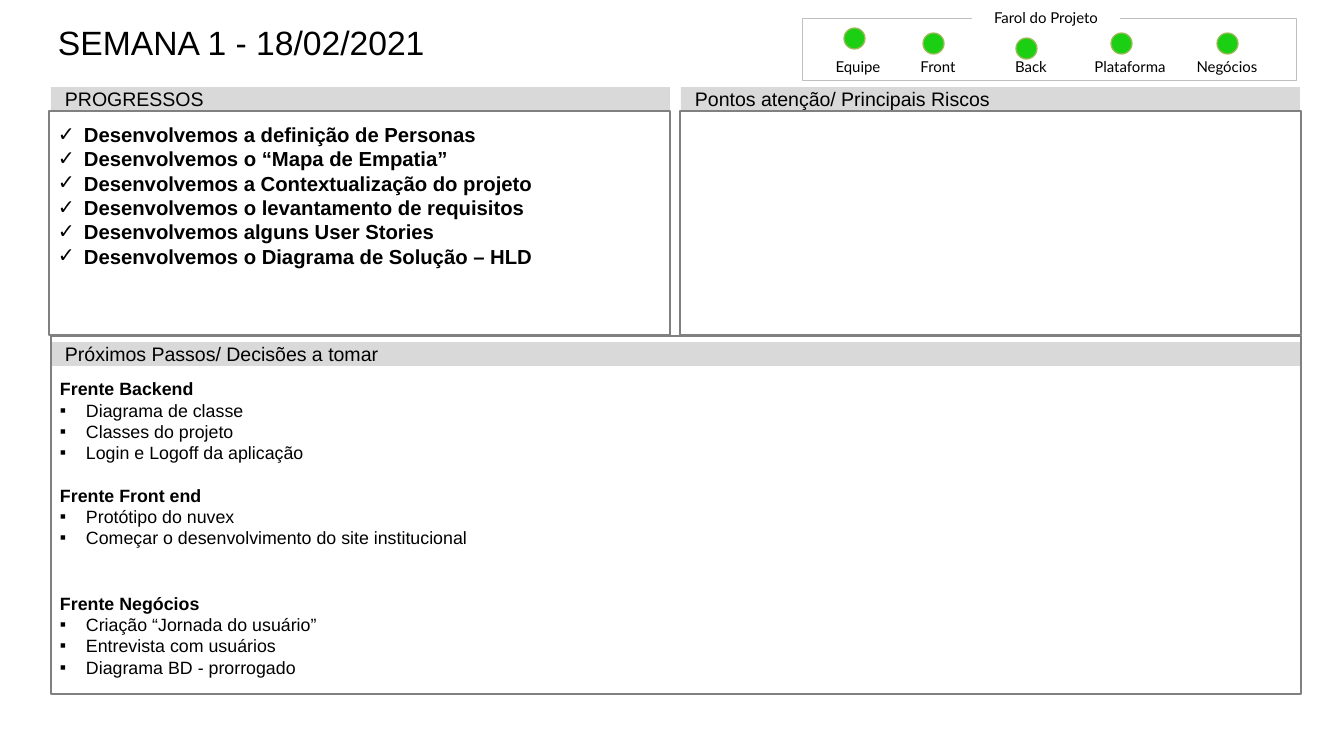
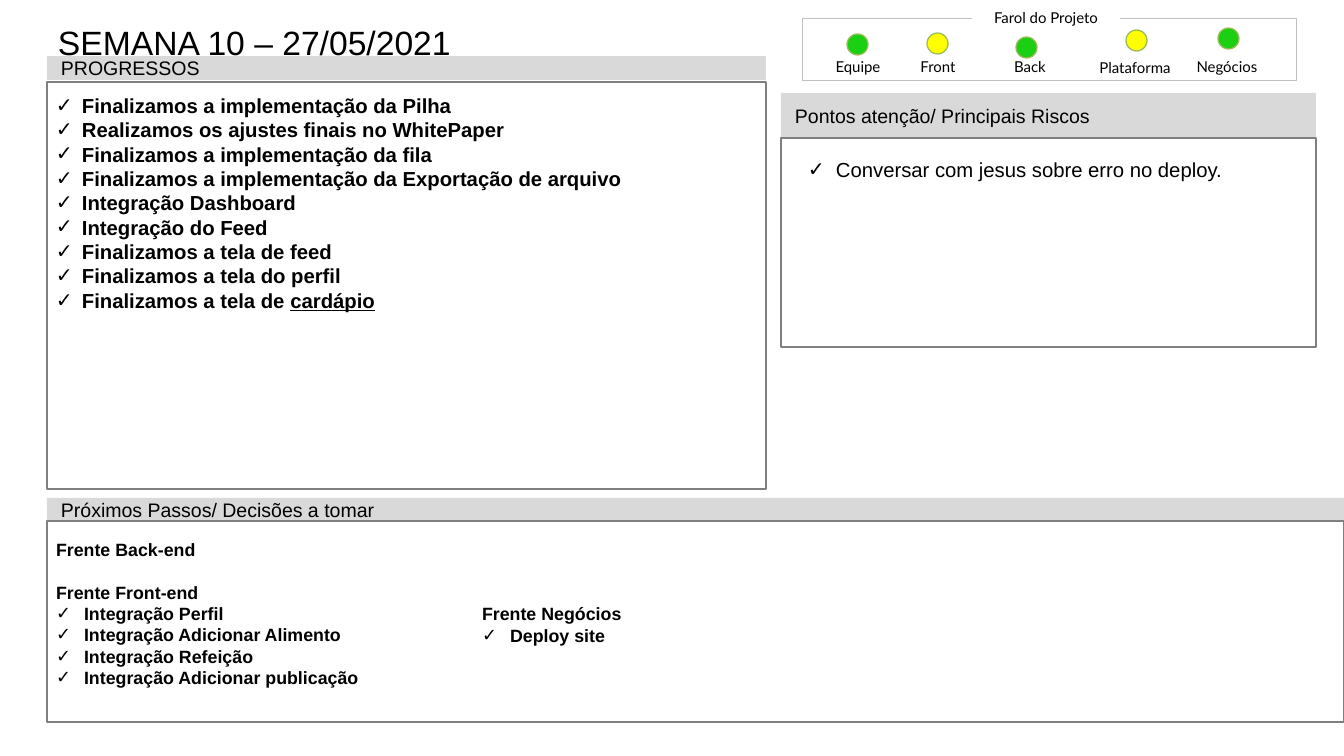
"""Build two weekly status slides with project lights, progress, risks and next steps."""
import pptx
import pptx.util
import pptx.dml.color
import pptx.enum.shapes
import pptx.enum.text
import lxml.etree

SCALE = 10000
WIDE, HIGH = 1344, 756
HUES = {"ink": "000000", "band": "D9D9D9", "edge": "808080", "frame": "BFBFBF",
        "rim": "9BBB59", "go": "1BCF13", "warn": "FFFF00", "white": "FFFFFF"}
CHECK, SQUARE = "✓", "▪"
HEADS = ("PROGRESSOS", "Pontos atenção/ Principais Riscos", "Próximos Passos/ Decisões a tomar")
TEAMS = ("Equipe", "Front", "Back", "Plataforma", "Negócios")
DOT = 21


def group(head, mark, bold, items, gap=0):
    """Return lines of a headed list as mark, text, bold and gap before."""
    return [("", head, True, gap)] + [(mark, item, bold, 0) for item in items]


def checks(items, bold=True):
    """Return lines of a check list."""
    return [(CHECK, item, bold, 0) for item in items]


WEEKS = [
    {"title": "SEMANA 1 - 18/02/2021",
     "labels": [(813, 58), (893, 58), (986, 58), (1085, 58), (1182, 58)],
     "dots": [(844, 28, "go"), (923, 33, "go"), (1016, 38, "go"),
              (1111, 33, "go"), (1217, 33, "go")],
     "bands": [(51, 87, 619, 24), (681, 87, 619, 24), (51, 342, 1250, 24)],
     "boxes": [(49, 111, 621, 224), (680, 111, 621, 224), (51, 336, 1250, 358)],
     "texts": [
         ((49, 111, 621, 224), 11, 16, 26, checks([
             "Desenvolvemos a definição de Personas",
             "Desenvolvemos o “Mapa de Empatia”",
             "Desenvolvemos a Contextualização do projeto",
             "Desenvolvemos o levantamento de requisitos",
             "Desenvolvemos alguns User Stories",
             "Desenvolvemos o Diagrama de Solução – HLD"])),
         ((51, 336, 1250, 358), 42, 14, 26,
          group("Frente Backend", SQUARE, False, [
              "Diagrama de classe", "Classes do projeto", "Login e Logoff da aplicação"])
          + group("Frente Front end", SQUARE, False, [
              "Protótipo do nuvex", "Começar o desenvolvimento do site institucional"], 21)
          + group("Frente Negócios", SQUARE, False, [
              "Criação “Jornada do usuário”", "Entrevista com usuários",
              "Diagrama BD - prorrogado"], 44))]},
    {"title": "SEMANA 10 – 27/05/2021",
     "labels": [(813, 58), (893, 58), (985, 58), (1090, 59), (1182, 58)],
     "dots": [(847, 34, "go"), (927, 33, "warn"), (1016, 37, "go"),
              (1126, 30, "warn"), (1218, 28, "go")],
     "bands": [(47, 56, 719, 24), (781, 93, 535, 45), (47, 498, 1297, 23)],
     "boxes": [(47, 82, 719, 407), (781, 138, 535, 209), (47, 521, 1297, 201)],
     "texts": [
         ((47, 82, 719, 407), 11, 16, 26, checks([
             "Finalizamos a implementação da Pilha",
             "Realizamos os ajustes finais no WhitePaper",
             "Finalizamos a implementação da fila",
             "Finalizamos a implementação da Exportação de arquivo",
             "Integração Dashboard", "Integração do Feed",
             "Finalizamos a tela de feed", "Finalizamos a tela do perfil",
             "Finalizamos a tela de _cardápio"])),
         ((799, 152, 510, 34), 5, 16, 28,
          checks(["Conversar com jesus sobre erro no deploy."], False)),
         ((47, 521, 427, 201), 18, 14, 28,
          group("Frente Back-end", CHECK, True, [])
          + group("Frente Front-end", CHECK, True, [
              "Integração Perfil", "Integração Adicionar Alimento",
              "Integração Refeição", "Integração Adicionar publicação"], 21)),
         ((473, 603, 427, 48), 0, 14, 28,
          group("Frente Negócios", CHECK, True, ["Deploy site"]))]},
]


def px(size):
    """Turn pixels into EMU."""
    return pptx.util.Emu(round(size * SCALE))


def hue(name):
    """Return a named colour."""
    return pptx.dml.color.RGBColor.from_string(HUES[name])


def shape(slide, kind, at, fill=None, line=None, width=1):
    """Add a flat preset shape."""
    item = slide.shapes.add_shape(kind, *map(px, at))
    item.shadow.inherit = False
    if fill:
        item.fill.solid()
        item.fill.fore_color.rgb = hue(fill)
    else:
        item.fill.background()
    if line:
        item.line.color.rgb = hue(line)
        item.line.width = pptx.util.Pt(width)
    else:
        item.line.fill.background()
    return item


def style(para, size, face="Arial", bold=False):
    """Set the font of a paragraph."""
    para.font.size = pptx.util.Pt(size)
    para.font.name = face
    para.font.bold = bold
    para.font.color.rgb = hue("ink")


def inset(frame, left, top, anchor, wrap=True):
    """Set margins, anchor and wrapping of a text frame."""
    frame.margin_left = frame.margin_right = px(left)
    frame.margin_top, frame.margin_bottom = px(top), 0
    frame.vertical_anchor = anchor
    frame.word_wrap = wrap


def label(item, text, size, face="Arial", left=0, anchor="MIDDLE", align="LEFT", wrap=True):
    """Write one line of text into a shape."""
    frame = item.text_frame
    inset(frame, left, 0, pptx.enum.text.MSO_ANCHOR[anchor], wrap)
    para = frame.paragraphs[0]
    para.text = text
    para.alignment = pptx.enum.text.PP_ALIGN[align]
    style(para, size, face)


def bullet(para, mark, dent):
    """Give a paragraph a hanging bullet."""
    props = para._p.get_or_add_pPr()
    props.set("marL", str(px(dent)))
    props.set("indent", str(-px(dent)))
    space = "{http://schemas.openxmlformats.org/drawingml/2006/main}"
    lxml.etree.SubElement(props, space + "buFont").set("typeface", "Arial")
    lxml.etree.SubElement(props, space + "buChar").set("char", mark)


def write(frame, top, size, dent, lines):
    """Fill a text frame with headings and bullets."""
    inset(frame, 9, top, pptx.enum.text.MSO_ANCHOR.TOP)
    for spot, (mark, text, bold, gap) in enumerate(lines):
        para = frame.add_paragraph() if spot else frame.paragraphs[0]
        para.alignment = pptx.enum.text.PP_ALIGN.LEFT
        if mark:
            bullet(para, mark, dent)
        para.line_spacing = pptx.util.Pt(size * 1.2)
        para.space_before = px(gap)
        style(para, size, bold=bold)
        plain, _, under = text.partition("_")
        para.add_run().text = plain
        if under:
            run = para.add_run()
            run.text = under
            run.font.underline = True


def lights(slide, week):
    """Draw the framed row of project lights."""
    kinds = pptx.enum.shapes.MSO_SHAPE
    shape(slide, kinds.RECTANGLE, (802, 18, 494, 62), line="frame", width=0.5)
    head = shape(slide, kinds.RECTANGLE, (972, 5, 148, 21), fill="white")
    label(head, "Farol do Projeto", 11.8, "Lato", anchor="BOTTOM", align="CENTER", wrap=False)
    for team, (left, top), (x, y, state) in zip(TEAMS, week["labels"], week["dots"]):
        name = slide.shapes.add_textbox(*map(px, (left, top, 90, 18)))
        label(name, team, 11.8, "Lato", anchor="BOTTOM", align="CENTER", wrap=False)
        shape(slide, kinds.OVAL, (x, y, DOT, DOT), state, "rim")


def build(deck, week):
    """Add the slide of one week."""
    slide = deck.slides.add_slide(deck.slide_layouts[6])
    block = pptx.enum.shapes.MSO_SHAPE.RECTANGLE
    title = slide.shapes.add_textbox(*map(px, (47, 22, 740, 40)))
    label(title, week["title"], 26.5, left=11, anchor="TOP")
    for head, at in zip(HEADS, week["bands"]):
        label(shape(slide, block, at, fill="band"), head, 15.4, left=14)
    panels = {at: shape(slide, block, at, line="edge") for at in week["boxes"]}
    for at, *rest in week["texts"]:
        holder = panels.get(at) or slide.shapes.add_textbox(*map(px, at))
        write(holder.text_frame, *rest)
    lights(slide, week)


deck = pptx.Presentation()
deck.slide_width, deck.slide_height = px(WIDE), px(HIGH)
for week in WEEKS:
    build(deck, week)
deck.save("out.pptx")
